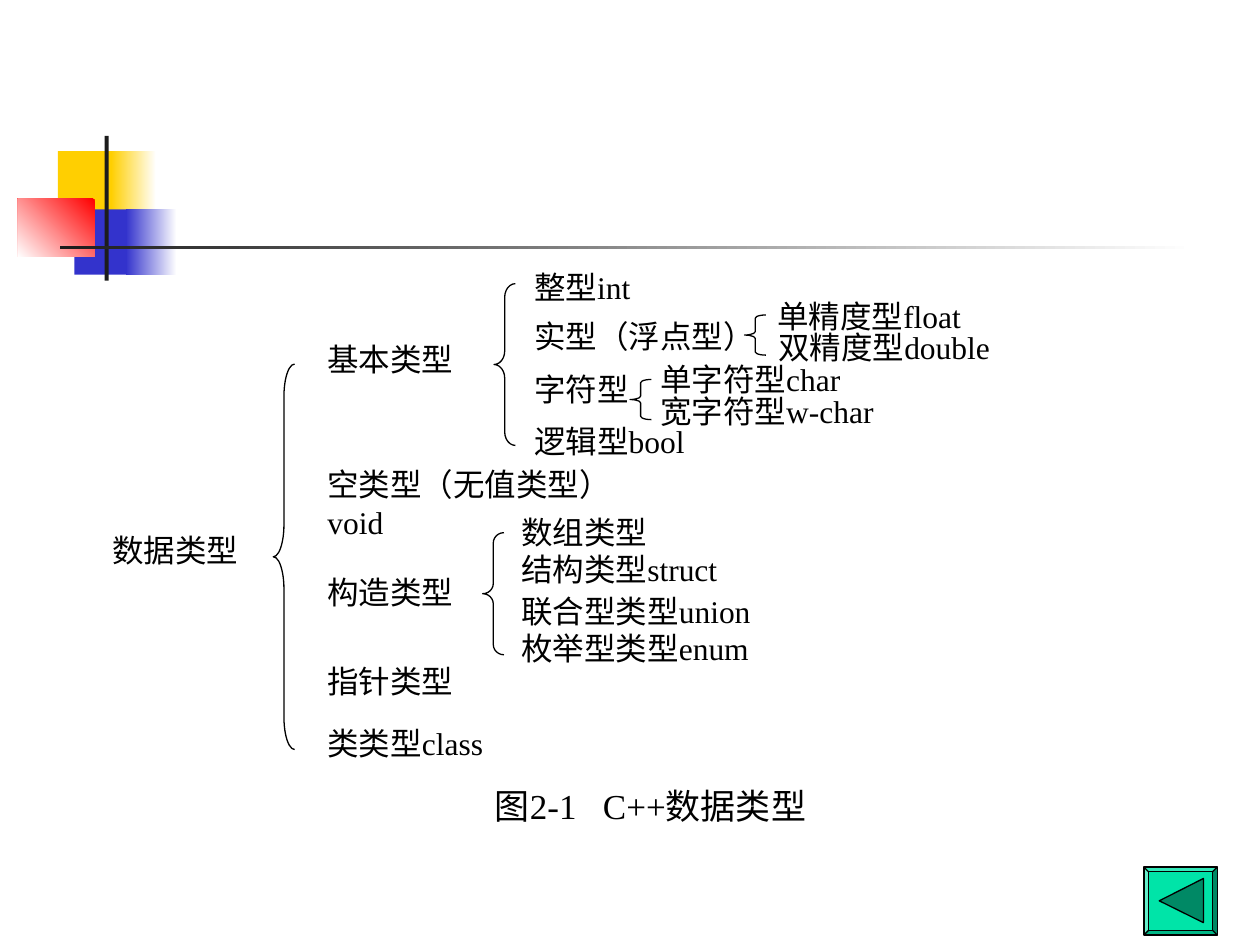
from pptx import Presentation
from pptx.dml.color import RGBColor as RGB
from pptx.enum.shapes import MSO_SHAPE as Kind
from pptx.enum.text import PP_ALIGN as Align
from pptx.util import Cm, Pt

BLACK = RGB(0x00, 0x00, 0x00)
WHITE = RGB(0xFF, 0xFF, 0xFF)
DARK = RGB(0x1C, 0x1C, 0x1C)
GOLD = RGB(0xFF, 0xCF, 0x01)
BLUE = RGB(0x33, 0x33, 0xCC)
RED = RGB(0xFF, 0x00, 0x00)
GREEN = RGB(0x00, 0xE4, 0xA8)
DEEP = RGB(0x00, 0x89, 0x65)

deck = Presentation()
deck.slide_width, deck.slide_height = Cm(25.4), Cm(19.05)
slide = deck.slides.add_slide(deck.slide_layouts[6])
shapes = slide.shapes


def add_shape(kind, x, y, w, h):
    shape = shapes.add_shape(kind, Cm(x), Cm(y), Cm(w), Cm(h))
    shape.shadow.inherit = False
    return shape


def add_text(parts, x, y, w, size, align):
    box = shapes.add_textbox(Cm(x), Cm(y), Cm(w), Cm(1.22))
    box.text_frame.word_wrap = True
    para = box.text_frame.paragraphs[0]
    para.alignment = align
    for part in parts:
        run = para.add_run()
        run.text = part
        run.font.size = Pt(size)
        run.font.name = "Times New Roman"
        run.font.color.rgb = BLACK
    return para


# Corner ornament: start colour, end colour, angle (no end colour means solid)
blocks = [
    (1.17, 3.05, 1.22, 1.32, GOLD, None, 0),
    (2.24, 3.05, 0.91, 1.32, WHITE, GOLD, 180),
    (1.5, 4.22, 1.17, 1.32, BLUE, None, 0),
    (2.54, 4.22, 1.02, 1.32, WHITE, BLUE, 180),
    (0.36, 4.01, 1.55, 1.17, RED, WHITE, 225),
    (2.11, 2.74, 0.08, 2.92, DARK, None, 0),
    (1.22, 4.95, 22.86, 0.08, WHITE, DARK, 180),
]
for x, y, w, h, start, end, angle in blocks:
    block = add_shape(Kind.RECTANGLE, x, y, w, h)
    block.line.fill.background()
    if end is None:
        block.fill.solid()
        block.fill.fore_color.rgb = start
    else:
        block.fill.gradient()
        block.fill.gradient_angle = angle
        for stop, tone in zip(block.fill.gradient_stops, (start, end)):
            stop.color.rgb = tone

# Type names, level by level
labels = [
    ("数据类型", 2.01, 10.59, 3.91),
    ("基本类型", 6.35, 6.73, 3.91),
    ("空类型（无值类型）void", 6.35, 9.25, 6.53),
    ("构造类型", 6.35, 11.43, 3.91),
    ("指针类型", 6.35, 13.23, 3.91),
    ("类类型class", 6.35, 14.48, 5.05),
    ("整型int", 10.52, 5.28, 3.91),
    ("实型（浮点型）", 10.52, 6.27, 5.33),
    ("字符型", 10.52, 7.34, 3.91),
    ("逻辑型bool", 10.52, 8.38, 5.08),
    ("数组类型", 10.26, 10.21, 3.91),
    ("结构类型struct", 10.26, 10.97, 5.56),
    ("联合型类型union", 10.26, 11.81, 6.07),
    ("枚举型类型enum", 10.26, 12.55, 5.69),
    ("单精度型float", 15.42, 5.87, 5.33),
    ("双精度型double", 15.44, 6.48, 6.15),
    ("单字符型char", 13.06, 7.14, 5.33),
    ("宽字符型w-char", 13.06, 7.77, 7.09),
]
ragged = {"空类型（无值类型）void", "逻辑型bool", "数组类型", "结构类型struct"}
for name, x, y, w in labels:
    add_text([name], x, y, w, 18, Align.LEFT if name in ragged else Align.JUSTIFY)

# Braces, with curls in proportion to their height
width = 0.43
braces = [
    (5.51, 7.34, 7.77),
    (9.73, 10.74, 2.46),
    (9.96, 5.72, 3.26),
    (12.7, 7.65, 0.81),
    (15.01, 6.35, 0.81),
]
for x, y, h in braces:
    brace = add_shape(Kind.LEFT_BRACE, x, y, width, h)
    brace.adjustments[0] = h / width / 12
    brace.fill.background()
    brace.line.color.rgb = BLACK
    brace.line.width = Pt(0.75)

# Caption, with one widely spaced blank between number and title
para = add_text(["图2-1", " ", "C++数据类型"], 9.32, 15.7, 7.59, 20, Align.CENTER)
para.space_after = Pt(6)
para.runs[1]._r.get_or_add_rPr().set("spc", "1000")

# Back button
button = add_shape(Kind.BEVEL, 23.06, 17.48, 1.48, 1.37)
button.adjustments[0] = 0.07
pen = shapes.build_freeform(Cm(23.37), Cm(18.16))
pen.add_line_segments([(Cm(24.26), Cm(17.71)), (Cm(24.26), Cm(18.6))])
arrow = pen.convert_to_shape()
arrow.shadow.inherit = False
for shape, tone in ((button, GREEN), (arrow, DEEP)):
    shape.fill.solid()
    shape.fill.fore_color.rgb = tone
    shape.line.color.rgb = BLACK
    shape.line.width = Pt(0.75)

deck.save("out.pptx")
